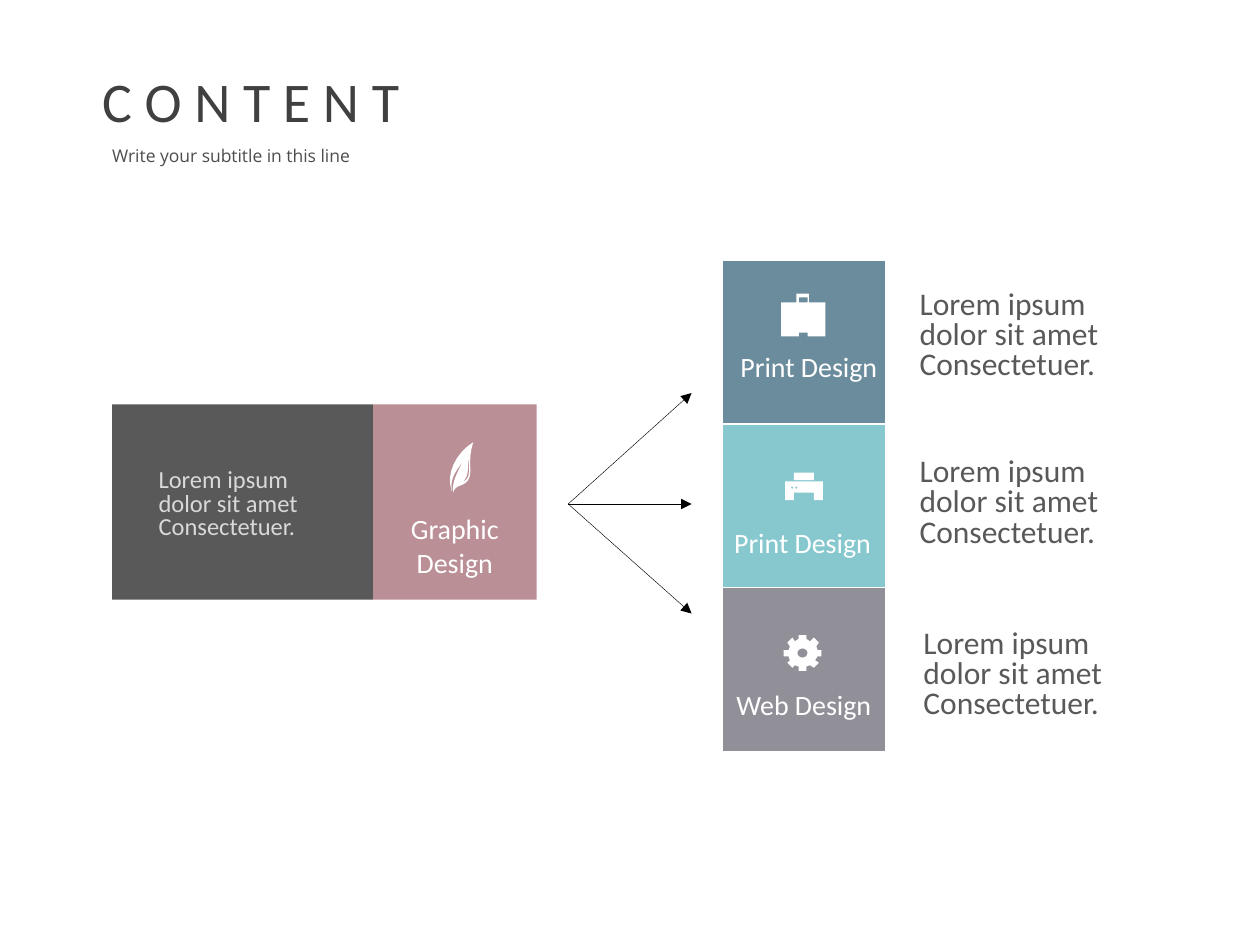
import math

from lxml import etree
from pptx import Presentation
from pptx.dml.color import RGBColor
from pptx.enum.shapes import MSO_CONNECTOR, MSO_SHAPE
from pptx.enum.text import MSO_ANCHOR, PP_ALIGN
from pptx.oxml.ns import qn
from pptx.util import Pt

RECT = MSO_SHAPE.RECTANGLE
STRAIGHT = MSO_CONNECTOR.STRAIGHT
LEFT, CENTER = PP_ALIGN.LEFT, PP_ALIGN.CENTER
TOP = MSO_ANCHOR.TOP

WHITE, BLACK = "FFFFFF", "000000"
DARK = "595959"
BODY = ["Lorem ipsum", "dolor sit amet", "Consectetuer."]

ICON_UNIT = 0.72  # points per icon grid step
FINE = 100  # subdivisions of a grid step
CURVE_STEPS = 8
TILE, TILE_LEFT, TILE_TOP, TILE_PITCH = 93.6, 412.6, 149, 93.4


def ring(cx, cy, rx, ry, count=20):
    """Closed ellipse as a contour."""
    angles = [2 * math.pi * i / count for i in range(count)]
    return [(cx + rx * math.cos(a), cy + ry * math.sin(a)) for a in angles]


# Icon contours: pairs are corners, six numbers are a Bezier curve
BRIEFCASE = [
    [(22, 7), (22, 0), (12, 0), (12, 7), (0, 7), (0, 34), (14, 34), (14, 31),
     (21, 31), (21, 34), (35, 34), (35, 7)],
    [(14, 3), (21, 3), (21, 7), (14, 7)],
]
PRINTER = [
    [(7, 0), (23, 0), (23, 6), (7, 6)],
    [(0, 7), (30, 7), (30, 22), (23, 22), (23, 16), (7, 16), (7, 22), (0, 22)],
    ring(5.7, 12, 0.9, 0.9, 8),
    ring(9, 12, 0.9, 0.9, 8),
]
GEAR = [
    [(30, 17), (30, 12), (27, 12), (26, 9), (28, 6), (24, 2), (21, 5), (18, 3),
     (18, 0), (12, 0), (12, 3), (9, 5), (7, 2), (3, 6), (5, 9), (4, 12),
     (0, 12), (0, 17), (4, 17), (5, 20), (3, 22), (7, 26), (9, 24), (12, 25),
     (12, 28.5), (18, 28.5), (18, 25), (21, 24), (24, 26), (28, 22), (25, 20),
     (27, 17)],
    ring(15, 14.3, 4, 3.6),
]
LEAF = [
    [(11, 13), (5, 25, 1, 31, 2, 40), (4, 33, 10, 36, 14, 30),
     (18, 24, 13, 15, 18, 0), (4, 9, -4, 25, 1, 39), (1, 36, 0, 33, 2, 28),
     (3, 24, 9, 17, 11, 13)],
    [(15, 11), (14, 19, 16, 25, 13, 29), (11, 31, 10, 32, 9, 32),
     (9, 32, 11, 31, 11, 30), (15, 25, 13, 20, 15, 11)],
    [(1, 26), (2, 19, 6, 11, 11, 7), (6, 12, 2, 19, 1, 26)],
]

# top, colour, label, label box, icon, icon origin, text origin
TILES = [
    ("6B8C9C", "Print Design", (417.6, 196.6), BRIEFCASE, (446.4, 167.8), (518.4, 162.7)),
    ("86C8CE", "Print Design", (414, 297.4), PRINTER, (448.6, 270), (518.4, 258.5)),
    ("919098", "Web Design", (414.7, 390.2), GEAR, (447.8, 362.9), (520.6, 356.4)),
]


def rgb(value):
    return RGBColor.from_string(value)


def write(shape, lines, font, size, color, align=LEFT, inset=None, spacing=None, wrap=True):
    frame = shape.text_frame
    settings = {"word_wrap": wrap, "vertical_anchor": TOP}
    if inset is not None:
        for side in ("left", "top", "right", "bottom"):
            settings["margin_" + side] = Pt(inset)
    for key, value in settings.items():
        setattr(frame, key, value)
    for i, line in enumerate(lines):
        paragraph = frame.paragraphs[0] if i == 0 else frame.add_paragraph()
        paragraph.alignment = align
        if spacing:
            paragraph.line_spacing = spacing
        run = paragraph.add_run()
        run.text = line
        for key, value in {"name": font, "size": Pt(size)}.items():
            setattr(run.font, key, value)
        run.font.color.rgb = rgb(color)


def add_text(slide, box, lines, size, color, font="Calibri", **options):
    write(slide.shapes.add_textbox(*map(Pt, box)), lines, font, size, color, **options)


def add_label(slide, box, label):
    add_text(slide, box, [label], 16, WHITE, align=CENTER, inset=2.9)


def paint(shape, fill, line=None):
    shape.shadow.inherit = False
    shape.fill.solid()
    shape.fill.fore_color.rgb = rgb(fill)
    if line:
        shape.line.color.rgb = rgb(line)
        shape.line.width = Pt(0.75)
    else:
        shape.line.fill.background()


def add_block(slide, box, fill, line=None):
    paint(slide.shapes.add_shape(RECT, *map(Pt, box)), fill, line)


def flatten(contour):
    """Turn the curves of a contour into short straight steps."""
    points = []
    for item in contour:
        if len(item) == 2:
            points.append(item)
            continue
        knots = [points[-1], item[:2], item[2:4], item[4:]]
        for step in range(1, CURVE_STEPS + 1):
            t = step / CURVE_STEPS
            weights = [math.comb(3, k) * t**k * (1 - t) ** (3 - k) for k in range(4)]
            points.append(tuple(sum(w * p[axis] for w, p in zip(weights, knots))
                                for axis in (0, 1)))
    return [(x * FINE, y * FINE) for x, y in points]


def add_icon(slide, contours, origin):
    first, *others = map(flatten, contours)
    builder = slide.shapes.build_freeform(*first[0], scale=Pt(ICON_UNIT) / FINE)
    builder.add_line_segments(first[1:], close=True)
    for points in others:
        builder.move_to(*points[0])
        builder.add_line_segments(points[1:], close=True)
    paint(builder.convert_to_shape(*map(Pt, origin)), WHITE)


def add_arrow(slide, start, end):
    arrow = slide.shapes.add_connector(STRAIGHT, *map(Pt, start + end))
    arrow.line.color.rgb = rgb(BLACK)
    arrow.line.width = Pt(0.25)
    etree.SubElement(arrow.line._get_or_add_ln(), qn("a:tailEnd"), type="triangle")
    etree.SubElement(arrow._element.spPr, qn("a:effectLst"))


def main():
    deck = Presentation()
    deck.slide_width, deck.slide_height = Pt(720), Pt(540)
    slide = deck.slides.add_slide(deck.slide_layouts[5])

    # Heading
    title = slide.shapes.title
    place = {"left": 51.1, "top": 34.6, "width": 186.5, "height": 46}
    for key, value in place.items():
        setattr(title, key, Pt(value))
    write(title, ["C O N T E N T"], "Calibri", 32, "404040", wrap=False)
    add_text(slide, (64.1, 82.8, 150.5, 16.6), ["Write your subtitle in this line"],
             10, "4D4D4D", font="Open Sans", inset=0)

    # Source block
    add_block(slide, (213.1, 231.1, TILE, 111.6), "BA8F95")
    add_label(slide, (213.1, 289.4, TILE, 26), "Graphic Design")
    add_icon(slide, LEAF, (257.5, 252.7))
    add_block(slide, (64.1, 231.1, 149, 111.6), DARK)
    add_text(slide, (83.5, 265, 130.3, 47.5), BODY, 14, "D9D9D9", spacing=0.8)

    # Arrows fanning out to the tiles
    for end_y in (224.6, 288, 350.6):
        add_arrow(slide, (324.7, 288), (395.2, end_y))

    # Tiles with their descriptions
    for i, (fill, label, label_at, icon, icon_at, body_at) in enumerate(TILES):
        add_block(slide, (TILE_LEFT, TILE_TOP + i * TILE_PITCH, TILE, TILE), fill, WHITE)
        add_icon(slide, icon, icon_at)
        add_label(slide, label_at + (89.3, 35.3), label)
        add_text(slide, body_at + (130.3, 59.8), BODY, 18, DARK, spacing=0.8)

    deck.save("out.pptx")


main()
